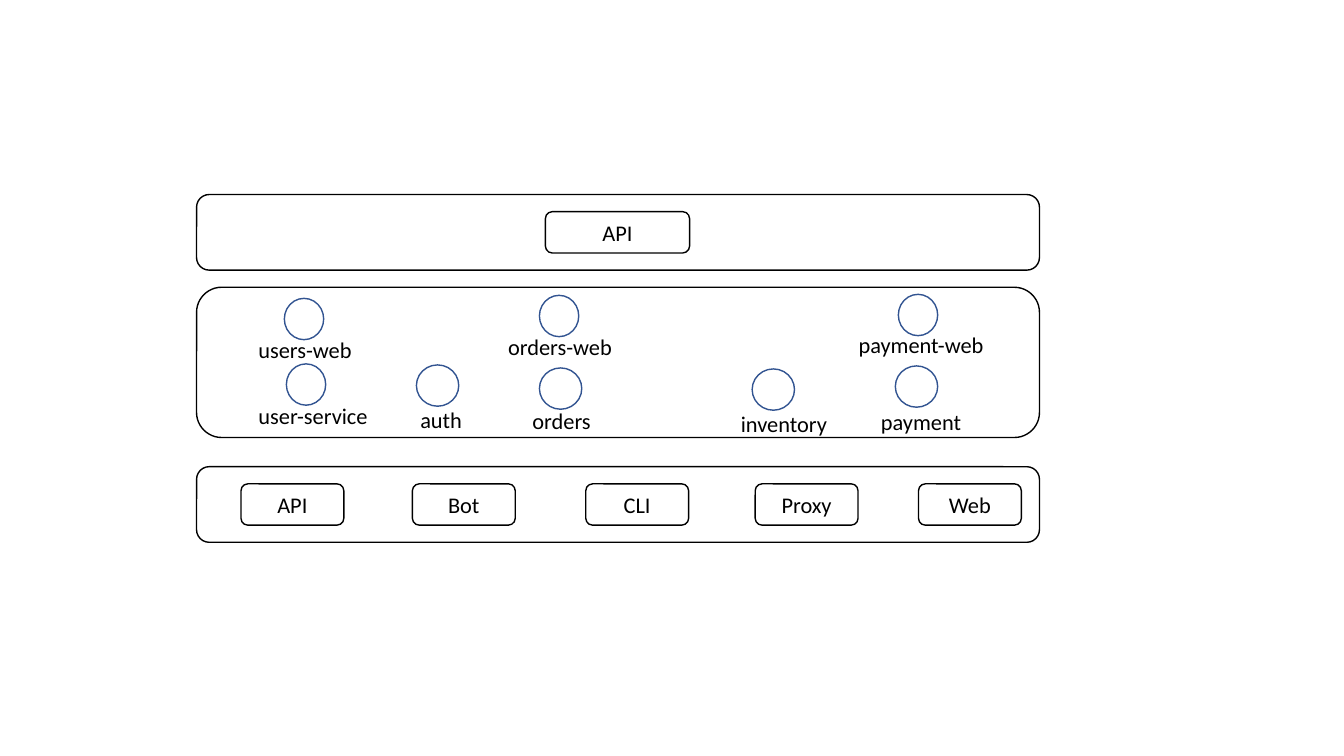
"""Build a slide of three service layers: gateway, services and clients."""
from dataclasses import dataclass

from pptx import Presentation
from pptx.dml.color import RGBColor
from pptx.enum import shapes, text
from pptx.util import Inches, Pt


@dataclass(frozen=True)
class Theme:
    """Colours, font and sizes used on the slide."""
    paper: RGBColor = RGBColor.from_string("FFFFFF")
    ink: RGBColor = RGBColor.from_string("000000")
    ring: RGBColor = RGBColor.from_string("325491")
    font: str = "Calibri"
    label_size: int = 16
    line_width: int = 1


THEME = Theme()
LAYER_LEFT, LAYER_WIDTH = 1.95, 8.36
LAYERS = [(1.93, 0.75), (2.85, 1.49), (4.63, 0.75)]
ITEM_HEIGHT = 0.41
LABEL_HEIGHT = 0.37
GATEWAY = ("API", 5.41, 2.1, 1.43)
CLIENT_TOP, CLIENT_WIDTH = 4.8, 1.02
CLIENTS = [("API", 2.39), ("Bot", 4.09), ("CLI", 5.81), ("Proxy", 7.49), ("Web", 9.11)]
# Name, then left, top and width of the circle, then left, top and width of the label.
SERVICES = [
    ("users-web", (2.82, 2.96, 0.39), (2.39, 3.29, 1.27)),
    ("orders-web", (5.35, 2.93, 0.39), (4.92, 3.26, 1.27)),
    ("payment-web", (8.91, 2.92, 0.39), (8.21, 3.24, 1.85)),
    ("user-service", (2.84, 3.61, 0.39), (2.31, 3.94, 1.59)),
    ("auth", (4.13, 3.62, 0.42), (4, 3.98, 0.75)),
    ("orders", (5.35, 3.65, 0.42), (5.13, 3.99, 0.88)),
    ("inventory", (7.46, 3.66, 0.42), (7.15, 4.02, 1.25)),
    ("payment", (8.88, 3.63, 0.42), (8.55, 4, 1.17)),
]


def write_text(box, content, size=THEME.label_size, color=THEME.ink,
               anchor=text.MSO_ANCHOR.MIDDLE, align=text.PP_ALIGN.CENTER):
    """Write one formatted paragraph into a box."""
    frame = box.text_frame
    frame.word_wrap = True
    frame.vertical_anchor = anchor
    para = frame.paragraphs[0]
    para.alignment = align
    span = para.add_run()
    span.text = content
    span.font.name = THEME.font
    span.font.size = Pt(size)
    span.font.color.rgb = color


def add_outline(page, kind, left, top, width, height, color=THEME.ink):
    """Add a white preset shape with a thin outline."""
    box = page.shapes.add_shape(kind, Inches(left), Inches(top), Inches(width), Inches(height))
    box.shadow.inherit = False
    box.fill.solid()
    box.fill.fore_color.rgb = THEME.paper
    box.line.color.rgb = color
    box.line.width = Pt(THEME.line_width)
    return box


def add_layer(page, top, height):
    """Add the rounded frame of one layer."""
    add_outline(page, shapes.MSO_SHAPE.ROUNDED_RECTANGLE, LAYER_LEFT, top, LAYER_WIDTH, height)


def add_component(page, name, left, top, width):
    """Add a rounded box with its name inside."""
    box = add_outline(page, shapes.MSO_SHAPE.ROUNDED_RECTANGLE, left, top, width, ITEM_HEIGHT)
    write_text(box, name)


def add_service(page, name, circle, label):
    """Add a service circle with its name below."""
    add_outline(page, shapes.MSO_SHAPE.OVAL, *circle, ITEM_HEIGHT, color=THEME.ring)
    left, top, width = label
    box = page.shapes.add_textbox(Inches(left), Inches(top), Inches(width), Inches(LABEL_HEIGHT))
    write_text(box, name, anchor=text.MSO_ANCHOR.TOP)
    box.text_frame.auto_size = text.MSO_AUTO_SIZE.SHAPE_TO_FIT_TEXT


def main():
    """Build and save the deck."""
    deck = Presentation()
    deck.slide_width, deck.slide_height = Inches(13.33), Inches(7.5)
    page = deck.slides.add_slide(deck.slide_layouts[6])
    for top, height in LAYERS:
        add_layer(page, top, height)
    add_component(page, *GATEWAY)
    for service in SERVICES:
        add_service(page, *service)
    for name, left in CLIENTS:
        add_component(page, name, left, CLIENT_TOP, CLIENT_WIDTH)
    deck.save("out.pptx")


if __name__ == "__main__":
    main()
